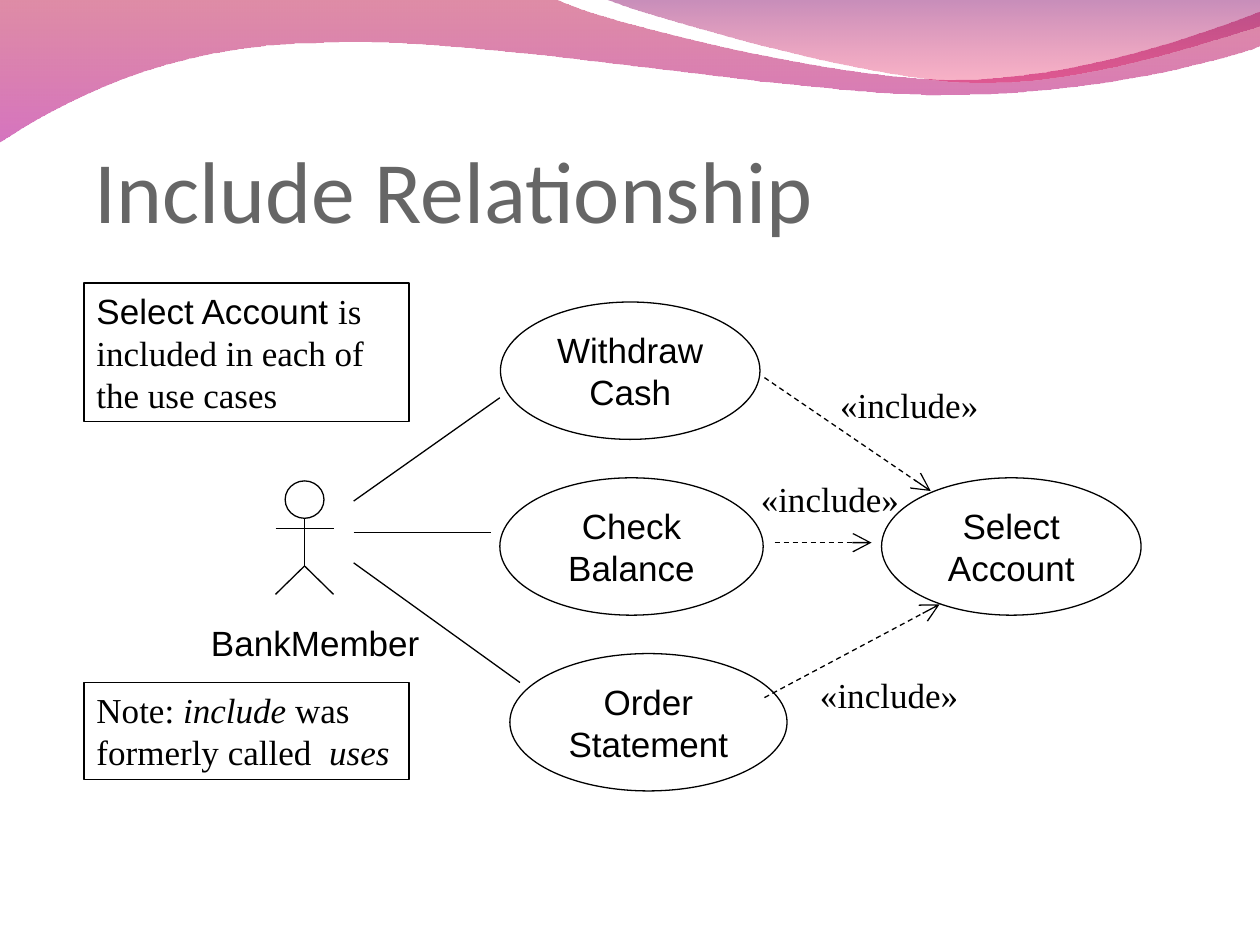
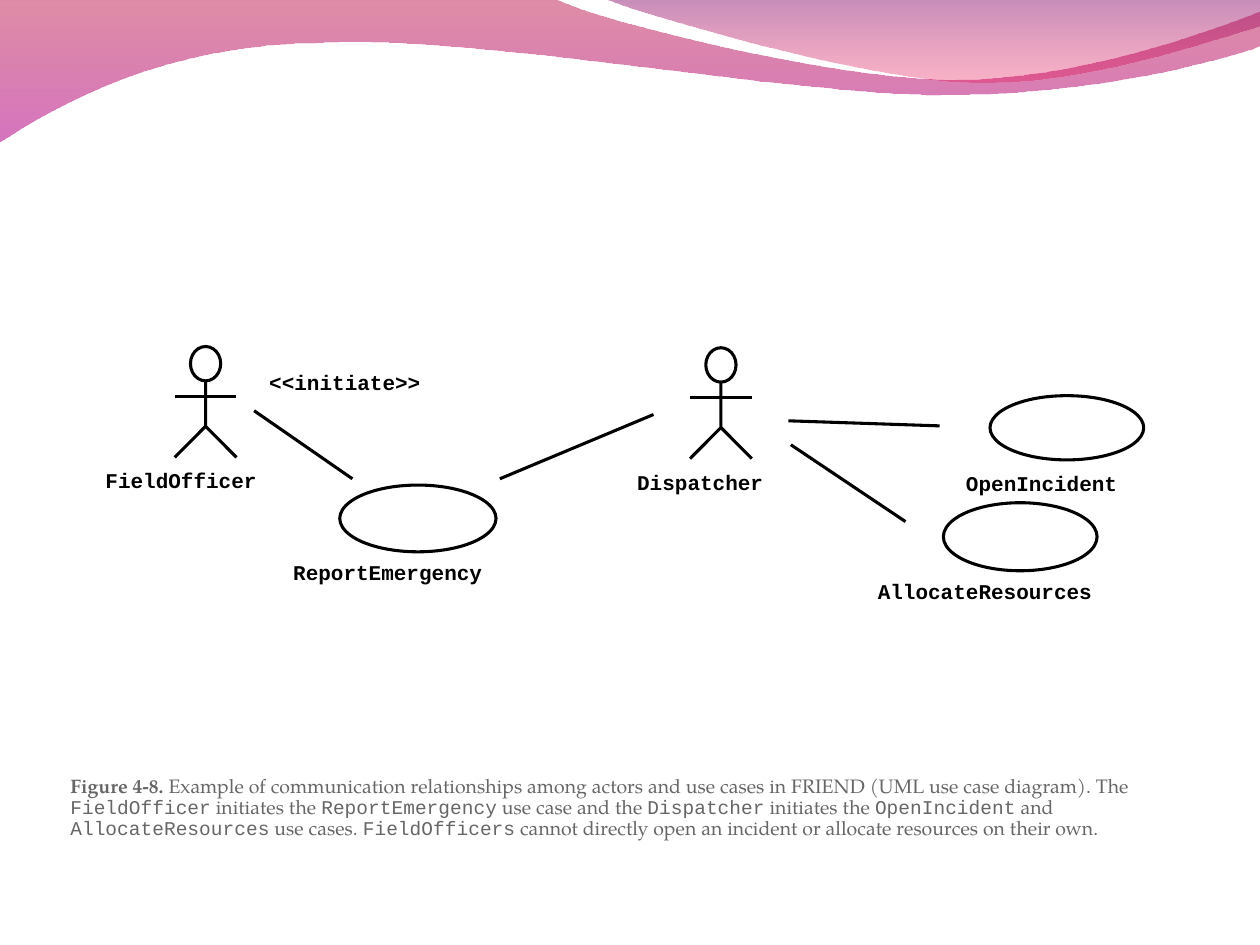
from dataclasses import dataclass

from pptx import Presentation
from pptx import util as u
from pptx.dml.color import RGBColor
from pptx.enum import dml, shapes, text
from pptx.oxml.ns import qn
from pptx.oxml.xmlchemy import OxmlElement

COLS, ROWS = 100, 75
WIDE, HIGH = u.Inches(10), u.Inches(7.5)


@dataclass(frozen=True)
class Theme:
    ink: str = "000000"
    gray: str = "666666"
    white: str = "FFFFFF"
    low: tuple = (("B8003B", 45), ("B4008B", 55))
    top: tuple = (("820066", 45), ("F10044", 30))
    head: str = "Calibri"
    sans: str = "Arial"
    serif: str = "Times New Roman"
    book: str = "TeX Gyre Pagella"
    code: str = "Courier New"
    title: float = 50
    label: float = 20
    small: float = 12
    note: float = 11.1
    thin: float = 0.75
    bold: float = 1.75


T = Theme()

LOW_WAVE = [
    (0, -0.1), (44, -0.1),
    (47.6, 1.7, 66.4, 6.3, 75.8, 6.3), (85.3, 6.3, 95.8, 2.6, 100, 0.9),
    (100.1, 3.6),
    (98.3, 4.4, 87, 7.6, 74.6, 7.5), (62.2, 7.5, 38.2, 2.8, 25.7, 3.4),
    (12.9, 3.5, 4.6, 8.3, -0.1, 11.3), (0, -0.1),
]
TOP_WAVE = [
    (47.9, -0.1),
    (50.9, 1.1, 68.2, 6.2, 76.9, 6.5), (85.6, 6.9, 96.1, 3.2, 100, 2.1),
    (100, 0), (47.9, -0.1),
]


@dataclass(frozen=True)
class Box:
    x: float
    y: float
    w: float
    h: float

    def sub(self, x, y, w, h):
        return Box(self.x + x, self.y + y, w, h)

    def at(self, x, y):
        return self.x + x, self.y + y

    def share(self, x, y):
        return self.at(self.w * x, self.h * y)

    def place(self):
        return *emu(self.x, self.y), *emu(self.w, self.h)


def emu(x, y):
    return round(x * WIDE / COLS), round(y * HIGH / ROWS)


def rgb(code):
    return RGBColor.from_string(code)


def fade(shape, rates):
    for tint, rate in zip(shape._element.spPr.iter(qn("a:srgbClr")), rates):
        alpha = OxmlElement("a:alpha")
        alpha.set("val", str(rate * 1000))
        tint.append(alpha)


def style(font, name, size, color=T.ink, bold=None):
    font.name, font.size, font.bold = name, u.Pt(size), bold
    font.color.rgb = rgb(color)


def frame(shape, pads=(1, 0.5, 1, 0.5), wrap=True, anchor=text.MSO_ANCHOR.TOP):
    body = shape.text_frame
    body.word_wrap = wrap
    body.auto_size = text.MSO_AUTO_SIZE.NONE
    body.vertical_anchor = anchor
    left, top = emu(*pads[:2])
    right, base = emu(*pads[2:])
    body.margin_left, body.margin_top = left, top
    body.margin_right, body.margin_bottom = right, base
    return body


def pen_line(shape, weight):
    shape.line.color.rgb = rgb(T.ink)
    shape.line.width = u.Pt(weight)


def figure(pool, kind, box, weight, fill=None, rate=100):
    shape = pool.add_shape(kind, *box.place())
    shape.shadow.inherit = False
    pen_line(shape, weight)
    if fill:
        shape.fill.solid()
        shape.fill.fore_color.rgb = rgb(fill)
        if rate < 100:
            fade(shape, [rate])
    else:
        shape.fill.background()
    return shape


def oval(pool, box, weight, fill=None, rate=100):
    return figure(pool, shapes.MSO_SHAPE.OVAL, box, weight, fill, rate)


def line(pool, start, end, weight, arrow=False):
    link = pool.add_connector(
        shapes.MSO_CONNECTOR.STRAIGHT, *emu(*start), *emu(*end))
    pen_line(link, weight)
    if arrow:
        link.line.dash_style = dml.MSO_LINE.DASH
        tip = OxmlElement("a:tailEnd")
        for key, val in (("type", "arrow"), ("w", "lg"), ("len", "lg")):
            tip.set(key, val)
        link.line._get_or_add_ln().append(tip)
    link._element.spPr.append(OxmlElement("a:effectLst"))


def outline(pool, pts, close=False):
    pen = pool.build_freeform(*emu(*pts[0]))
    pen.add_line_segments([emu(*pt) for pt in pts[1:]], close=close)
    shape = pen.convert_to_shape()
    shape.shadow.inherit = False
    return shape


def label(pool, box, words, name):
    body = frame(pool.add_textbox(*box.place()), wrap=False)
    body.text = words
    para = body.paragraphs[0]
    para.alignment = text.PP_ALIGN.CENTER
    style(para.font, name, T.label)


def tag(pool, box, words):
    body = frame(pool.add_textbox(*box.place()), (0, 0, 0, 0), False)
    body.text = words
    style(body.paragraphs[0].font, T.code, T.small, bold=True)


def case(pool, box, words):
    shape = oval(pool, box, T.thin, T.white, 50)
    body = frame(shape, anchor=text.MSO_ANCHOR.MIDDLE)
    body.text = words
    for para in body.paragraphs:
        para.alignment = text.PP_ALIGN.CENTER
        style(para.font, T.sans, T.label)


def note(pool, box, runs):
    body = frame(figure(pool, shapes.MSO_SHAPE.RECTANGLE, box, T.thin))
    para = body.paragraphs[0]
    para.alignment = text.PP_ALIGN.LEFT
    for words, name, slant in runs:
        run = para.add_run()
        run.text = words
        style(run.font, name, T.label)
        run.font.italic = slant


def actor(pool, box, head, neck, arm, hip, weight, rate=100, bent=False):
    spine = [box.share(0.5, neck), box.share(0.5, hip), box.share(0, 1)]
    if bent:
        limb = outline(pool, spine)
        limb.fill.background()
        pen_line(limb, weight)
    else:
        for start, end in zip(spine, spine[1:]):
            line(pool, start, end, weight)
    line(pool, spine[1], box.share(1, 1), weight)
    line(pool, box.share(0, arm), box.share(1, arm), weight)
    wide, high = head[0] * box.w, head[1] * box.h
    oval(pool, box.sub((box.w - wide) / 2, 0, wide, high),
         weight, T.white, rate)


def wave(pool, steps, stops):
    pts = [pt for step in steps for pt in zip(step[::2], step[1::2])]
    shape = outline(pool, pts, True)
    lines = list(shape._element.spPr.iter(qn("a:lnTo")))
    for step in steps[1:]:
        count = len(step) // 2
        part, lines = lines[:count], lines[count:]
        if count == 3:
            bend = OxmlElement("a:cubicBezTo")
            part[0].addprevious(bend)
            for leg in part:
                bend.append(leg[0])
                leg.getparent().remove(leg)
    shape.fill.gradient()
    shape.fill.gradient_angle = 270
    for stop, (color, _) in zip(shape.fill.gradient_stops, stops):
        stop.color.rgb = rgb(color)
    fade(shape, [rate for _, rate in stops])
    shape.line.fill.background()
    return shape._element


def band(deck, slide):
    tree = deck.slide_master.shapes._spTree
    waves = ((LOW_WAVE, T.low), (TOP_WAVE, T.top))
    for i, (steps, stops) in enumerate(waves):
        item = wave(slide.shapes, steps, stops)
        item.nvSpPr.cNvPr.set("id", str(90 + i))
        tree.insert(2 + i, item)


def title(slide, box, words):
    shape = slide.shapes.title
    shape.left, shape.top, shape.width, shape.height = box.place()
    body = frame(shape, (0, 0.5, 0, 0), anchor=text.MSO_ANCHOR.BOTTOM)
    body.text = words
    para = body.paragraphs[0]
    para.alignment = text.PP_ALIGN.LEFT
    style(para.font, T.head, T.title, T.gray)


def include(slide, box):
    pool = slide.shapes
    tall, gap = 10.9, 13.95
    cases = [("Order Statement", 33.8, 22, 2), ("Check\nBalance", 33, 20.9, 1),
             ("Withdraw\nCash", 33.05, 20.6, 0),
             ("Select Account", 63.3, 20.6, 1)]
    for words, x, w, row in cases:
        case(pool, box.sub(x, 1.5 + row * gap, w, tall), words)
    for y, end in ((17.3, (33, 9.1)), (19.8, (32.3, 19.8)),
                   (22.2, (34.6, 31.7))):
        line(pool, box.at(21.4, y), box.at(*end), T.thin)
    actor(pool.add_group_shape().shapes, box.sub(15.2, 15.7, 4.6, 9),
          (0.67, 0.33), 0.33, 0.42, 0.75, T.thin, 50)
    label(pool, box.sub(9.1, 26.4, 18.5, 4.4), "BankMember", T.sans)
    links = [((54, 7.5), (67.2, 16.5), (59, 7.5)),
             ((54.8, 20.6), (62.5, 20.6), (52.7, 14.9)),
             ((54, 32.9), (67.9, 25.5), (57.4, 30.5))]
    for start, end, spot in links:
        line(pool, box.at(*start), box.at(*end), T.thin, True)
        label(pool, box.sub(*spot, 13, 4.4), "«include»", T.serif)
    note(pool, box.sub(0, 0, 25.8, 11), [
        ("Select Account ", T.sans, False),
        ("is included in each of the use cases", T.serif, False)])
    note(pool, box.sub(0, 31.7, 25.8, 7.7), [
        ("Note: ", T.serif, False), ("include", T.serif, True),
        (" was formerly called  ", T.serif, False), ("uses", T.serif, True)])


def friend(slide, box):
    pool = slide.shapes.add_group_shape().shapes
    for x, y in ((5.5, 0), (46.4, 0.1)):
        actor(pool, box.sub(x, y, 4.9, 8.8), (0.49, 0.31),
              0.22, 0.45, 0.72, T.bold, bent=True)
    for oval_box in ((18.6, 11, 12.4, 5.3), (70.2, 3.9, 12.2, 5.1),
                     (66.5, 12.4, 12.2, 5.4)):
        oval(pool, box.sub(*oval_box), T.bold)
    links = [((11.8, 5.1), (19.6, 10.5)), ((54.4, 7.8), (63.5, 13.9)),
             ((54.2, 5.9), (66.2, 6.3)), ((31.3, 10.5), (43.5, 5.4))]
    for start, end in links:
        line(pool, box.at(*start), box.at(*end), T.bold)
    tags = [("FieldOfficer", 0, 9.6), ("Dispatcher", 42.2, 9.8),
            ("ReportEmergency", 14.9, 16.9), ("OpenIncident", 68.3, 9.85),
            ("AllocateResources", 61.3, 18.4), ("<<initiate>>", 13, 1.8)]
    for words, x, y in tags:
        tag(pool, box.sub(x, y, len(words), 2), words)


def caption(slide, box):
    body = frame(slide.shapes.add_textbox(*box.place()),
                 anchor=text.MSO_ANCHOR.MIDDLE)
    para = body.paragraphs[0]
    para.line_spacing = 0.9
    parts = [
        " Example of communication relationships among actors and use cases "
        "in FRIEND (UML use case diagram). The ", "FieldOfficer",
        " initiates the ", "ReportEmergency", " use case and the ",
        "Dispatcher", " initiates the ", "OpenIncident", " and ",
        "AllocateResources", " use cases. ", "FieldOfficers",
        " cannot directly open an incident or allocate resources on their own."]
    runs = [("Figure 4-8.", T.book, True)]
    runs += [(part, (T.book, T.code)[i % 2], False)
             for i, part in enumerate(parts)]
    for words, name, bold in runs:
        run = para.add_run()
        run.text = words
        style(run.font, name, T.note, T.gray, bold)


def main():
    deck = Presentation()
    deck.slide_width, deck.slide_height = WIDE, HIGH
    first = deck.slides.add_slide(deck.slide_layouts[5])
    band(deck, first)
    title(first, Box(7.5, 6.65, 85, 12.5), "Include Relationship")
    include(first, Box(6.67, 22.47, 84, 40.4))
    second = deck.slides.add_slide(deck.slide_layouts[6])
    friend(second, Box(8.37, 27.5, 82.4, 20.4))
    caption(second, Box(4.6, 60.3, 89.2, 7.7))
    deck.save("out.pptx")


if __name__ == "__main__":
    main()
